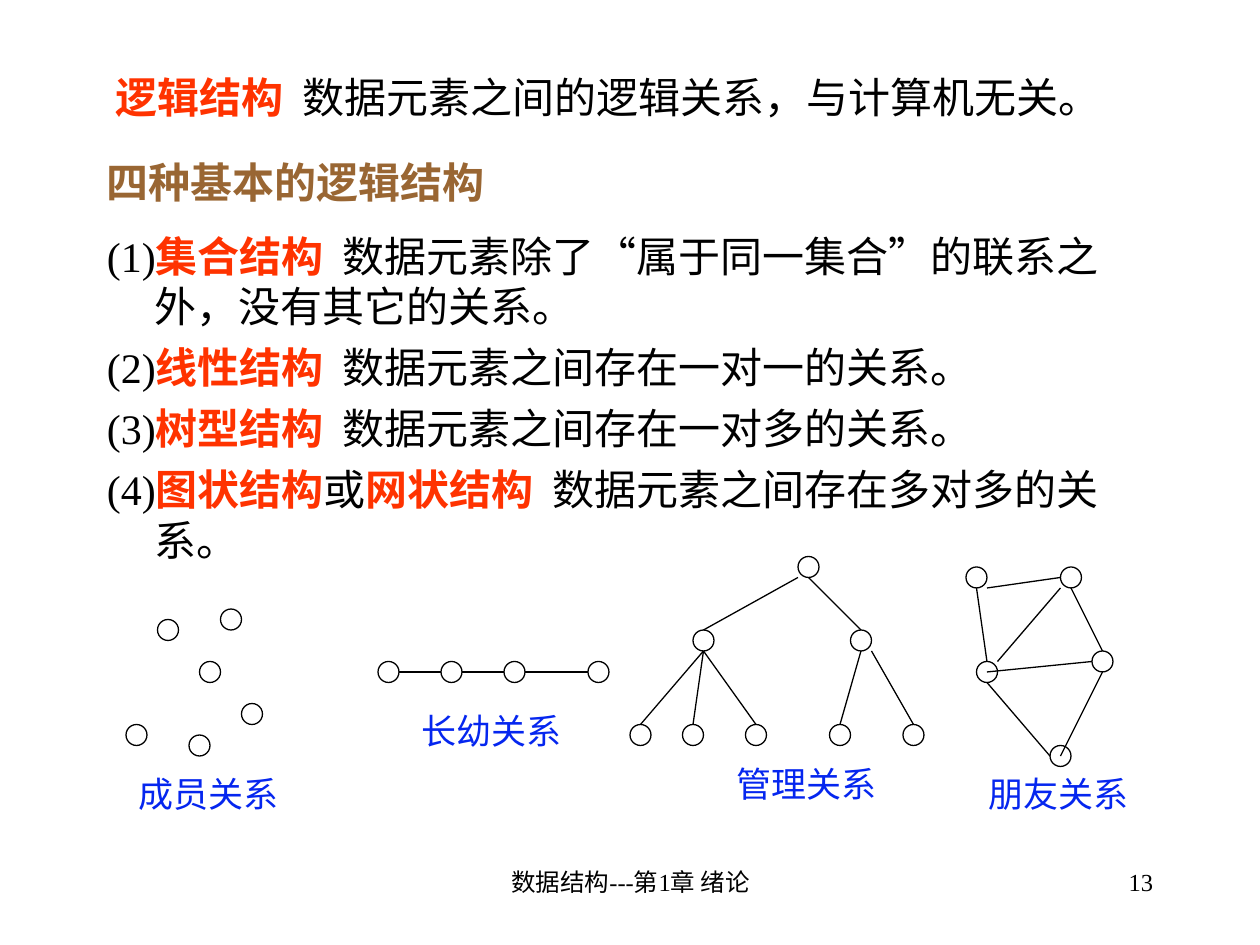
import pptx
import pptx.dml.color
import pptx.enum.shapes
import pptx.enum.text
import pptx.oxml.ns
import pptx.util
from lxml import etree

Inches = pptx.util.Inches
Pt = pptx.util.Pt
ALIGN = pptx.enum.text.PP_ALIGN
ANCHOR = pptx.enum.text.MSO_ANCHOR
BLACK, RED, BROWN, BLUE = "000000", "FF3300", "996633", "0526EF"


def rgb(value):
    return pptx.dml.color.RGBColor.from_string(value)


def grid(n):
    return Inches(n / 12)


class SlideBuilder:
    font = "Times New Roman"
    line_width = Pt(0.75)
    hanging = Inches(0.38)
    space_before = Pt(6)

    def __init__(self, slide):
        self.slide = slide

    def text(self, box, paragraphs, size, align=ALIGN.LEFT,
             anchor=ANCHOR.TOP, hanging=False):
        sp = self.slide.shapes.add_textbox(*map(Inches, box))
        tf = sp.text_frame
        tf.word_wrap = True
        tf.vertical_anchor = anchor
        for i, runs in enumerate(paragraphs):
            p = tf.add_paragraph() if i else tf.paragraphs[0]
            p.alignment = align
            if i:
                p.space_before = self.space_before
            if hanging:
                pPr = p._p.get_or_add_pPr()
                pPr.set("marL", str(self.hanging))
                pPr.set("indent", str(-self.hanging))
                pPr.set("hangingPunct", "0")
            p.font.name = self.font
            p.font.size = Pt(size)
            for words, color, bold in runs:
                r = p.add_run()
                r.text = words
                r.font.bold = bold
                r.font.color.rgb = rgb(color)

    def node(self, x, y):
        sp = self.slide.shapes.add_shape(
            pptx.enum.shapes.MSO_SHAPE.OVAL,
            grid(x - 1), grid(y - 1), grid(2), grid(2))
        sp.shadow.inherit = False
        sp.fill.background()
        sp.line.color.rgb = rgb(BLACK)
        sp.line.width = self.line_width

    def edge(self, x1, y1, x2, y2):
        line = self.slide.shapes.add_connector(
            pptx.enum.shapes.MSO_CONNECTOR.STRAIGHT,
            *map(grid, (x1, y1, x2, y2)))
        line.line.color.rgb = rgb(BLACK)
        line.line.width = self.line_width
        etree.SubElement(line._element.spPr, pptx.oxml.ns.qn("a:effectLst"))

    def diagram(self, nodes, edges, caption, box):
        for node in nodes:
            self.node(*node)
        for edge in edges:
            self.edge(*edge)
        self.text(box, [[(caption, BLUE, False)]], 20)


def plain(words):
    return (words, BLACK, False)


def term(words):
    return (words, RED, True)


def main():
    prs = pptx.Presentation()
    prs.slide_width, prs.slide_height = Inches(10), Inches(7.5)
    s = SlideBuilder(prs.slides.add_slide(prs.slide_layouts[6]))

    s.text((0.82, 0.52, 8.75, 0.55),
           [[term("逻辑结构"), plain("  数据元素之间的逻辑关系，与计算机无关。")]],
           24, hanging=True)
    s.text((0.75, 1.11, 8.5, 0.67), [[("四种基本的逻辑结构", BROWN, True)]],
           24, anchor=ANCHOR.MIDDLE)
    s.text((0.75, 1.78, 8.67, 4.89), [
        [plain("(1)"), term("集合结构"),
         plain("  数据元素除了“属于同一集合”的联系之外，没有其它的关系。")],
        [plain("(2)"), term("线性结构"), plain("  数据元素之间存在一对一的关系。")],
        [plain("(3)"), term("树型结构"), plain("  数据元素之间存在一对多的关系。")],
        [plain("(4)"), term("图状结构"), plain("或"), term("网状结构"),
         plain("  数据元素之间存在多对多的关系。")],
    ], 24, hanging=True)

    members = [(22, 59), (16, 60), (20, 64), (13, 70), (19, 71), (24, 68)]
    s.diagram(members, [], "成员关系", (1, 6.08, 1.33, 0.44))

    chain = [(x, 64) for x in (37, 43, 49, 57)]
    links = [(a + 1, y, b - 1, y) for (a, y), (b, _) in zip(chain, chain[1:])]
    s.diagram(chain, links, "长幼关系", (3.25, 5.58, 1.5, 0.44))

    leaves = (61, 66, 72, 80, 87)
    tree = [(77, 54), (67, 61), (82, 61)] + [(x, 70) for x in leaves]
    branches = [(76, 55, 67, 60), (77, 55, 82, 60)]
    branches += [(a, 62, b, 69) for a, b in zip((67, 67, 67, 82, 83), leaves)]
    s.diagram(tree, branches, "管理关系", (5.75, 6, 1.83, 0.44))

    friends = [(93, 55), (102, 55), (94, 64), (105, 63), (101, 72)]
    ties = [(93, 56, 94, 63), (94, 56, 101, 55), (102, 56, 105, 62),
            (105, 64, 101, 72), (94, 65, 100, 72), (94, 64, 104, 63),
            (101, 56, 95, 63)]
    s.diagram(friends, ties, "朋友关系", (7.75, 6.08, 1.5, 0.44))

    s.text((3.42, 6.83, 3.17, 0.5), [[plain("数据结构---第1章 绪论")]], 14,
           align=ALIGN.CENTER)
    s.text((7.17, 6.83, 2.08, 0.5), [[plain("13")]], 14, align=ALIGN.RIGHT)
    prs.save("out.pptx")


if __name__ == "__main__":
    main()
